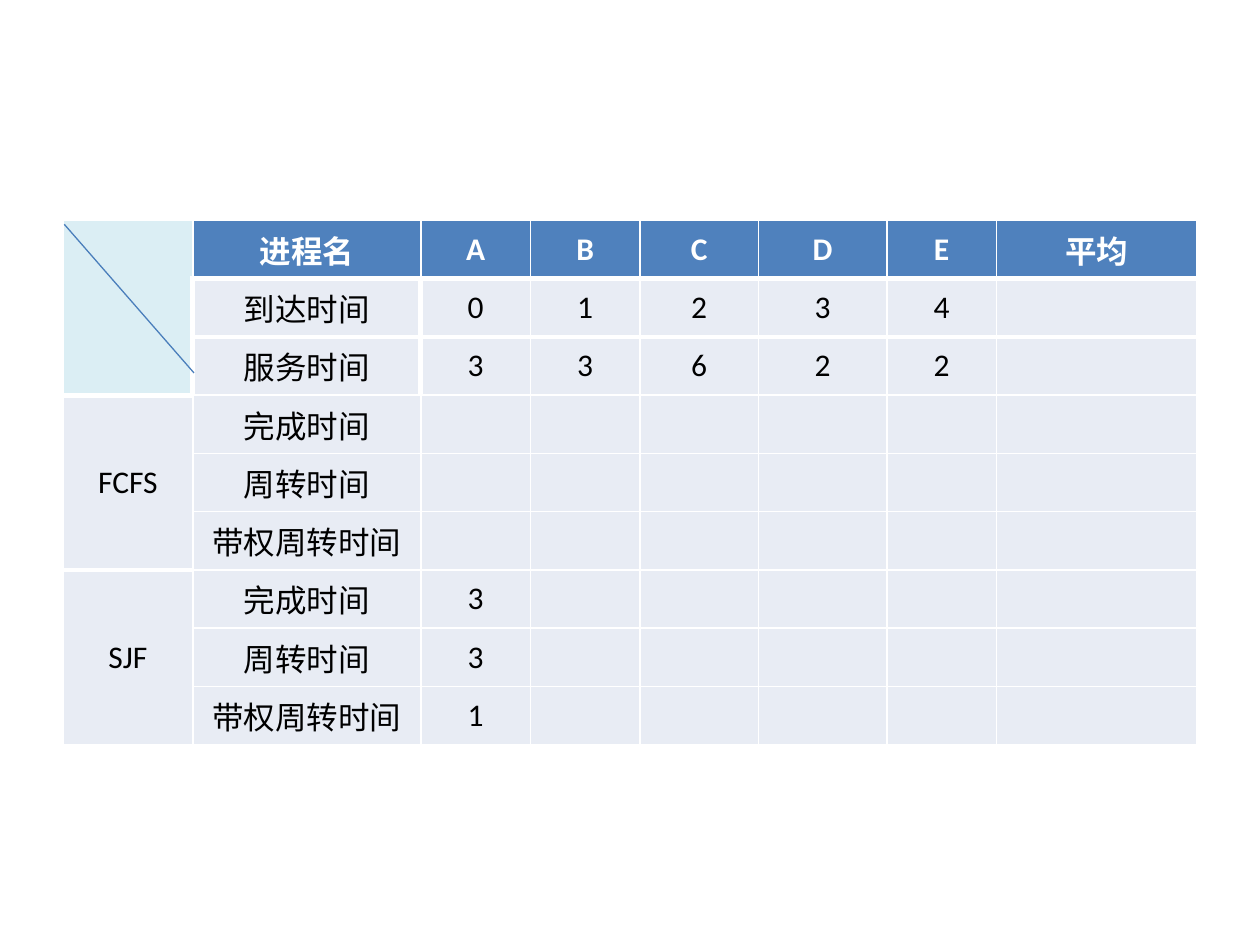
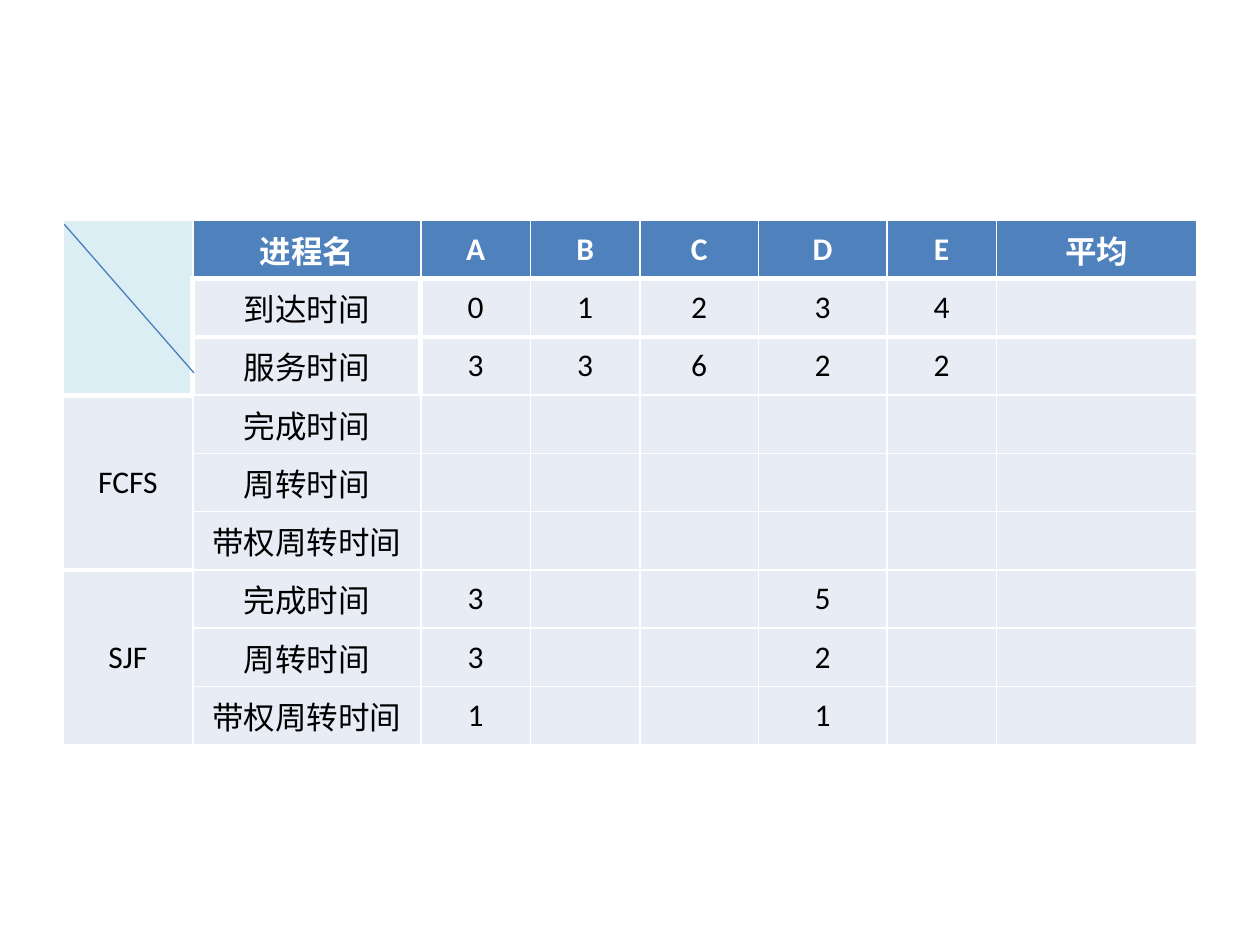
from itertools import product

from lxml import etree
from pptx import Presentation
from pptx.dml.color import RGBColor
from pptx.enum.shapes import MSO_CONNECTOR
from pptx.enum.text import MSO_ANCHOR, PP_ALIGN
from pptx.oxml.ns import qn
from pptx.util import Inches, Pt

STRAIGHT = MSO_CONNECTOR.STRAIGHT
MIDDLE = MSO_ANCHOR.MIDDLE
CENTER = PP_ALIGN.CENTER

HEADER = ["进程名", "A", "B", "C", "D", "E", "平均"]
PROCESSES = HEADER[1:-1]
GIVEN_TIMES = [
    ("到达时间", dict(zip(PROCESSES, "01234"))),
    ("服务时间", dict(zip(PROCESSES, "33622"))),
]
MEASURES = ["完成时间", "周转时间", "带权周转时间"]
ALGORITHMS = ["FCFS", "SJF"]
SLIDE_RESULTS = [
    {"SJF": {"A": "331"}},
    {"SJF": {"A": "331", "D": "521"}},
]

THEME = {
    "header": RGBColor.from_string("4F81BD"),
    "body": RGBColor.from_string("E8ECF4"),
    "corner": RGBColor.from_string("DBEEF4"),
    "diagonal": RGBColor.from_string("4A7EBB"),
    "white": RGBColor.from_string("FFFFFF"),
    "black": RGBColor.from_string("000000"),
    "latin_font": "Calibri",
    "chinese_font": "Roboto",
    "size": Pt(18),
    "thin": Pt(1),
    "thick": Pt(3),
    "diagonal_width": Pt(0.75),
}
CELL_FORMAT = {
    "vertical_anchor": MIDDLE,
    "margin_left": Inches(0.05),
    "margin_right": Inches(0.05),
    "margin_top": Inches(0.05),
    "margin_bottom": Inches(0.05),
}
TABLE_LEFT, TABLE_TOP = 0.5, 1.75
COLUMN_WIDTHS = [1.03, 1.81, 0.87, 0.87, 0.94, 1.02, 0.87, 1.59]
ROW_HEIGHT = 0.46
GROUP_ROWS = 3
DIAGONAL = [(0.51, 1.78), (1.54, 2.96)]


def table_rows(results):
    rows = [["", *HEADER]]
    for label, times in GIVEN_TIMES:
        rows.append(["", label, *(times.get(name, "") for name in HEADER[1:])])
    for algorithm in ALGORITHMS:
        values = results.get(algorithm, {})
        for index, measure in enumerate(MEASURES):
            found = [values[name][index] if name in values else "" for name in HEADER[1:]]
            rows.append([algorithm if index == 0 else "", measure, *found])
    return rows


def thick_sides(row, column):
    if column == 0:
        return ["B", "TB", "T"][row // GROUP_ROWS]
    if row >= GROUP_ROWS:
        return ""
    if row == 0:
        return "B"
    return ("TB" if row == 1 else "T") + {1: "LR", 2: "L"}.get(column, "")


def add_borders(cell, thick):
    properties = cell._tc.get_or_add_tcPr()
    for side in "LRTB":
        width = THEME["thick" if side in thick else "thin"]
        line = etree.SubElement(properties, qn("a:ln" + side), w=str(width))
        fill = etree.SubElement(line, qn("a:solidFill"))
        etree.SubElement(fill, qn("a:srgbClr"), val=str(THEME["white"]))


def write_text(cell, text, is_header):
    paragraph = cell.text_frame.paragraphs[0]
    paragraph.alignment = CENTER
    paragraph.font.size = THEME["size"]
    if not text:
        return
    run = paragraph.add_run()
    run.text = text
    font_name = THEME["latin_font" if text.isascii() else "chinese_font"]
    run.font.color.rgb = THEME["white" if is_header else "black"]
    for name, value in {"size": THEME["size"], "bold": is_header, "name": font_name}.items():
        setattr(run.font, name, value)


def add_schedule_table(slide, rows):
    shape = slide.shapes.add_table(
        len(rows), len(COLUMN_WIDTHS), Inches(TABLE_LEFT), Inches(TABLE_TOP),
        Inches(sum(COLUMN_WIDTHS)), Inches(ROW_HEIGHT * len(rows)))
    table = shape.table
    table.first_row = False
    table.horz_banding = False
    for column, width in zip(table.columns, COLUMN_WIDTHS):
        column.width = Inches(width)
    for row in table.rows:
        row.height = Inches(ROW_HEIGHT)
    for row, column in product(range(len(rows)), range(len(COLUMN_WIDTHS))):
        cell = table.cell(row, column)
        for name, value in CELL_FORMAT.items():
            setattr(cell, name, value)
        add_borders(cell, thick_sides(row, column))
        in_corner = column == 0 and row < GROUP_ROWS
        cell.fill.solid()
        cell.fill.fore_color.rgb = THEME["corner" if in_corner else "body" if row else "header"]
        write_text(cell, rows[row][column], row == 0)
    for first in range(0, len(rows), GROUP_ROWS):
        table.cell(first, 0).merge(table.cell(first + GROUP_ROWS - 1, 0))


def add_corner_diagonal(slide):
    start, end = DIAGONAL
    connector = slide.shapes.add_connector(STRAIGHT, *map(Inches, start + end))
    connector.line.color.rgb = THEME["diagonal"]
    connector.line.width = THEME["diagonal_width"]
    etree.SubElement(connector._element.spPr, qn("a:effectLst"))


presentation = Presentation()
presentation.slide_width = Inches(10)
presentation.slide_height = Inches(7.5)
for results in SLIDE_RESULTS:
    slide = presentation.slides.add_slide(presentation.slide_layouts[6])
    add_schedule_table(slide, table_rows(results))
    add_corner_diagonal(slide)
presentation.save("out.pptx")
